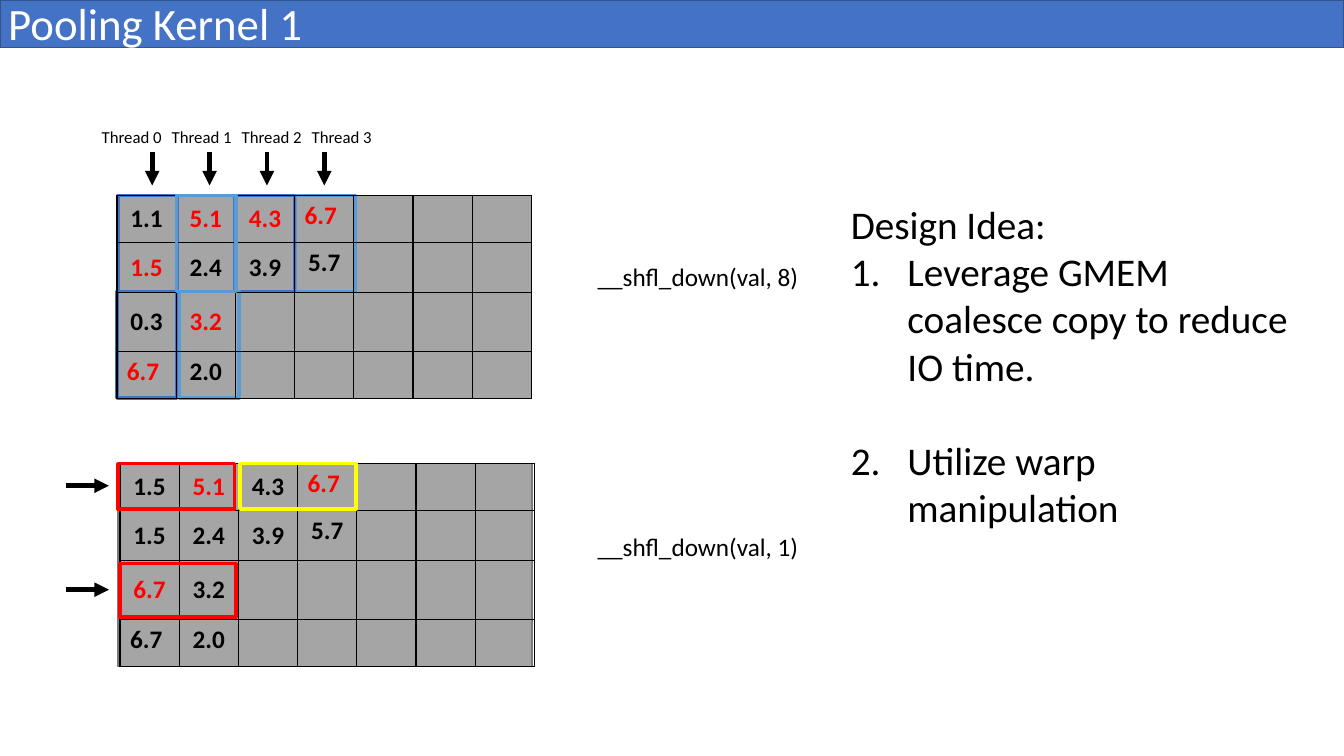
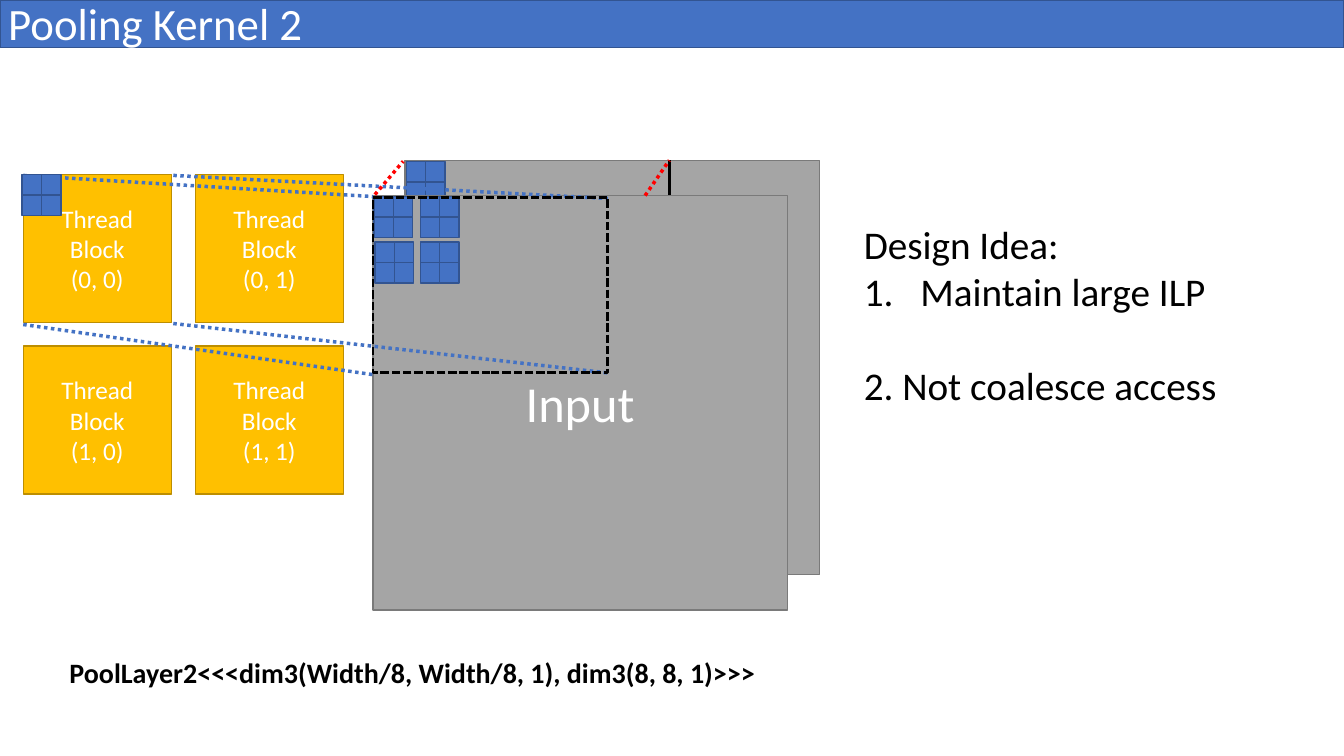
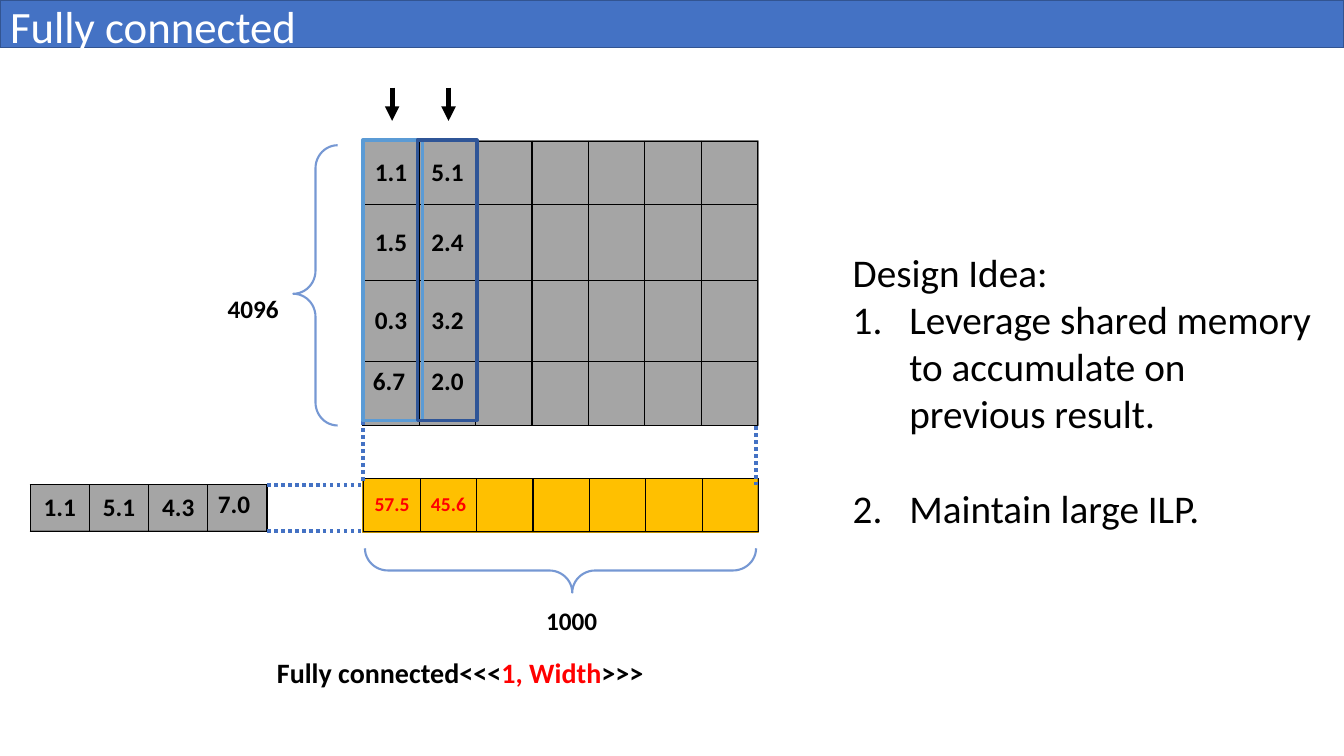
from dataclasses import dataclass
from typing import Any, Optional

import lxml.etree
import pptx
import pptx.dml.color
import pptx.enum.dml
import pptx.enum.shapes
import pptx.enum.text
import pptx.oxml.ns
import pptx.util

Pt = pptx.util.Pt
qn = pptx.oxml.ns.qn
KIND = pptx.enum.shapes.MSO_SHAPE
ALIGN = pptx.enum.text.PP_ALIGN
ANCHOR = pptx.enum.text.MSO_ANCHOR
DOT = pptx.enum.dml.MSO_LINE.ROUND_DOT
DASH = pptx.enum.dml.MSO_LINE.SQUARE_DOT

FONT = "Calibri"
HUES = {
    "black": "000000", "white": "FFFFFF", "red": "FF0000", "yellow": "FFFF00",
    "blue": "4472C4", "edge": "325491", "sky": "5B9BD5", "navy": "2F5597",
    "grey": "A5A5A5", "rim": "7A7A7A", "gold": "FFC000", "brown": "BD8E00",
}
Area = tuple[float, float, float, float]
Cells = frozenset[tuple[int, int]]
NONE: Cells = frozenset()


@dataclass(frozen=True)
class Box:
    area: Area
    line: str
    fill: Optional[str] = None
    width: float = 2.5
    dash: Any = None


@dataclass(frozen=True)
class Link:
    start: tuple[float, float]
    end: tuple[float, float]
    hue: str = "blue"
    width: float = 2.5
    dash: Any = DOT
    arrow: bool = False


@dataclass(frozen=True)
class Run:
    text: str
    hue: str = "black"


@dataclass(frozen=True)
class Label:
    area: Area
    runs: tuple[Run, ...]
    size: float = 18
    bold: bool = False


@dataclass(frozen=True)
class Item:
    text: str
    auto: bool = True
    gap: float = 0


@dataclass(frozen=True)
class Grid:
    """Rows of text; red, top and left hold the cells that differ."""
    left_top: tuple[float, float]
    cols: int
    step: float
    rows: tuple[float, ...]
    text: tuple[tuple[str, ...], ...]
    red: Cells = NONE
    top: Cells = NONE
    left: Cells = NONE
    size: float = 18


def tint(name: str) -> Any:
    return pptx.dml.color.RGBColor.from_string(HUES[name])


def place(shape: Any, area: Area) -> None:
    shape.left, shape.top, shape.width, shape.height = (Pt(n) for n in area)


def write(para: Any, run: Run, size: float, bold: bool = False) -> None:
    part = para.add_run()
    part.text = run.text
    part.font.name, part.font.size, part.font.bold = FONT, Pt(size), bold
    part.font.color.rgb = tint(run.hue)


def stroke(line: Any, hue: str, width: float, dash: Any = None) -> None:
    line.color.rgb = tint(hue)
    line.width = Pt(width)
    if dash is not None:
        line.dash_style = dash


def draw(slide: Any, box: Box, kind: Any = KIND.RECTANGLE) -> Any:
    shape = slide.shapes.add_shape(kind, *(Pt(n) for n in box.area))
    shape.shadow.inherit = False
    if box.fill:
        shape.fill.solid()
        shape.fill.fore_color.rgb = tint(box.fill)
    else:
        shape.fill.background()
    stroke(shape.line, box.line, box.width, box.dash)
    return shape


def panel(slide: Any, area: Area, fill: str = "grey", line: str = "rim",
          texts: tuple[str, ...] = (), size: float = 18) -> None:
    """Draw a filled box with one white centred paragraph per text."""
    frame = draw(slide, Box(area, line, fill, 1)).text_frame
    for i, text in enumerate(texts):
        para = frame.add_paragraph() if i else frame.paragraphs[0]
        para.alignment = ALIGN.CENTER
        write(para, Run(text, "white"), size)


def join(slide: Any, link: Link) -> None:
    line = slide.shapes.add_connector(
        pptx.enum.shapes.MSO_CONNECTOR.STRAIGHT,
        *(Pt(n) for n in link.start + link.end))
    stroke(line.line, link.hue, link.width, link.dash)
    props = line.element.find(qn("p:spPr"))
    if link.arrow:
        lxml.etree.SubElement(props.find(qn("a:ln")), qn("a:tailEnd"), type="triangle")
    lxml.etree.SubElement(props, qn("a:effectLst"))


def arrow(slide: Any, x: float, y: float, dx: float, dy: float) -> None:
    join(slide, Link((x, y), (x + dx, y + dy), "black", 3.5, None, True))


def brace(slide: Any, area: Area, turn: float) -> None:
    shape = draw(slide, Box(area, "blue", None, 1.5), KIND.RIGHT_BRACE)
    shape.rotation = turn
    shape.adjustments[0], shape.adjustments[1] = 0.52, 0.47
    hue = shape.element.find(qn("p:spPr")).find(qn("a:ln")).find(".//" + qn("a:srgbClr"))
    lxml.etree.SubElement(hue, qn("a:alpha"), val="72000")


def note(slide: Any, label: Label) -> None:
    frame = slide.shapes.add_textbox(*(Pt(n) for n in label.area)).text_frame
    frame.word_wrap = True
    for run in label.runs:
        write(frame.paragraphs[0], run, label.size, label.bold)


def rule(cell: Any) -> None:
    """Give a cell four thin black borders and no fill."""
    props = cell._tc.get_or_add_tcPr()
    for side in ("a:lnL", "a:lnR", "a:lnT", "a:lnB"):
        edge = lxml.etree.SubElement(props, qn(side), w=str(Pt(1)))
        fill = lxml.etree.SubElement(edge, qn("a:solidFill"))
        lxml.etree.SubElement(fill, qn("a:srgbClr"), val=HUES["black"])
    cell.fill.background()


def table(slide: Any, grid: Grid) -> None:
    x, y = grid.left_top
    body = slide.shapes.add_table(
        len(grid.rows), grid.cols, Pt(x), Pt(y),
        Pt(grid.step * grid.cols), Pt(sum(grid.rows))).table
    body.first_row = body.horz_banding = False
    for col in body.columns:
        col.width = Pt(grid.step)
    for r, high in enumerate(grid.rows):
        body.rows[r].height = Pt(high)
        for c in range(grid.cols):
            cell, spot = body.cell(r, c), (r, c)
            rule(cell)
            if c < len(grid.text[r]):
                cell.vertical_anchor = ANCHOR.TOP if spot in grid.top else ANCHOR.MIDDLE
                para = cell.text_frame.paragraphs[0]
                para.alignment = ALIGN.LEFT if spot in grid.left else ALIGN.CENTER
                hue = "red" if spot in grid.red else "black"
                write(para, Run(grid.text[r][c], hue), grid.size, True)


def setup(holder: Any, area: Area) -> Any:
    """Move a placeholder and return its top-anchored text frame."""
    place(holder, area)
    frame = holder.text_frame
    frame.word_wrap = True
    frame.auto_size = pptx.enum.text.MSO_AUTO_SIZE.NONE
    frame.vertical_anchor = ANCHOR.TOP
    return frame


def start(deck: Any, title: str, spot: tuple[float, float],
          area: Area, items: tuple[Item, ...]) -> Any:
    """Add a slide with its title and its list of design ideas."""
    slide = deck.slides.add_slide(deck.slide_layouts[1])
    para = setup(slide.shapes.title, spot + (289.4, 46)).paragraphs[0]
    para.alignment = ALIGN.LEFT
    write(para, Run(title, "white"), 32)
    frame = setup(slide.placeholders[1], area)
    for i, item in enumerate((Item("Design Idea:", False),) + items):
        para = frame.add_paragraph() if i else frame.paragraphs[0]
        para.alignment = ALIGN.LEFT
        para.space_before = Pt(item.gap)
        write(para, Run(item.text), 28)
        props = para._p.get_or_add_pPr()
        dent = Pt(40.5) if item.auto else 0
        props.set("marL", str(dent))
        props.set("indent", str(-dent))
        if item.auto:
            lxml.etree.SubElement(props, qn("a:buFont"), typeface="+mj-lt")
            lxml.etree.SubElement(props, qn("a:buAutoNum"), type="arabicPeriod")
        else:
            lxml.etree.SubElement(props, qn("a:buNone"))
    return slide


def share(slide: Any) -> None:
    """Put the title band on the layout, below all that a slide holds."""
    band = draw(slide, Box((0, 0, 960, 33.8), "edge", "blue", 1)).element
    band.xpath("./p:nvSpPr/p:cNvPr")[0].set("id", "99")
    slide.slide_layout.shapes.element.insert(2, band)


GAP = 34
ROWS = (33.3, 36, 42.2, 33.3)
STEP = 42.3
TOP = frozenset({(0, 3), (1, 3), (3, 0), (3, 1)})
LEFT = frozenset({(0, 3), (3, 0)})


def shuffle(deck: Any) -> None:
    slide = start(deck, "Pooling Kernel 1", (-1.4, -6.5), (600.5, 139.7, 329.8, 244.8), (
        Item("Leverage GMEM coalesce copy to reduce IO time."),
        Item("Utilize warp manipulation", gap=GAP)))
    share(slide)
    panel(slide, (84.2, 331.2, 296, 144.8))
    panel(slide, (83.5, 139.7, 296, 144.8))
    high, low = (139.7, 42.5, 68.4), (208.1, 42.5, 76.3)
    for x, (y, wide, tall), hue in (
            (84.2, high, "blue"), (211, high, "sky"), (83.5, low, "blue"),
            (167.8, high, "blue"), (128.2, low, "sky")):
        draw(slide, Box((x, y, wide, tall), hue))
    table(slide, Grid(
        (83.5, 139.7), 7, STEP, ROWS,
        (("1.1", "5.1", "4.3", "6.7"), ("1.5", "2.4", "3.9", "5.7"),
         ("0.3", "3.2"), ("6.7", "2.0")),
        frozenset({(0, 1), (0, 2), (0, 3), (1, 0), (2, 1), (3, 0)}), TOP, LEFT))
    draw(slide, Box((126, 139.7, 42.5, 68.4), "sky"))
    table(slide, Grid(
        (85.7, 331.2), 7, STEP, ROWS,
        (("1.5", "5.1", "4.3", "6.7"), ("1.5", "2.4", "3.9", "5.7"),
         ("6.7", "3.2"), ("6.7", "2.0")),
        frozenset({(0, 1), (0, 3), (2, 0)}), TOP, LEFT))
    for area, hue in (((84.2, 331.2, 83.5, 32.4), "red"),
                      ((85.7, 402.5, 82.8, 38.2), "red"),
                      ((171.4, 331.2, 82.8, 32.4), "yellow")):
        draw(slide, Box(area, hue))
    for i in range(4):
        arrow(slide, 108.7 + 41 * i, 108.7, 0, 23.8)
        note(slide, Label((65.5 + 50 * i, 86.8, 61.2, 21.6), (Run(f"Thread {i}"),), 12))
    for y in (347, 421.2):
        arrow(slide, 46.8, y, 31, 0)
    for y, shift in ((182.9, 8), (375.8, 1)):
        note(slide, Label((419.8, y, 188, 28.8), (Run(f"__shfl_down(val, {shift})"),)))


def tiles(slide: Any, x: float, y: float) -> None:
    """Draw a two by two patch of small blue tiles."""
    for r in range(2):
        for c in range(2):
            panel(slide, (x + 13.9 * c, y + 14.7 * r, 13.9, 14.7), "blue", "edge")


def blocks(deck: Any) -> None:
    slide = start(deck, "Pooling Kernel 2", (-1.4, -6.5), (609.8, 153.4, 350, 143.3), (
        Item("Maintain large ILP"),
        Item("2. Not coalesce access", False, GAP)))
    panel(slide, (289.4, 114.5, 296, 296))
    tiles(slide, 290.2, 115.2)
    join(slide, Link((478.1, 114.5), (478.1, 410.4), "black", dash=None))
    for r in range(2):
        for c in range(2):
            panel(slide, (16.6 + 122.9 * c, 124.6 + 122.6 * r, 105.8, 105.8),
                  "gold", "brown", ("Thread Block", f"({r}, {c})"))
    panel(slide, (266.4, 139.7, 296, 296), texts=("Input",), size=36)
    for link in (Link((16.6, 125.3), (266.4, 140.4)),
                 Link((16.6, 231.8), (267.8, 267.8)),
                 Link((123.8, 231.1), (434.2, 266.4)),
                 Link((123.8, 125.3), (434.2, 141.8)),
                 Link((267.8, 139), (288, 115.2), "red"),
                 Link((460.8, 139.7), (478.1, 114.5), "red")):
        join(slide, link)
    note(slide, Label((42.5, 464.4, 508.3, 31.7), (
        Run("PoolLayer2<<<dim3(Width/8, Width/8, 1), dim3(8, 8, 1)>>>"),), 20, True))
    for x, y in ((15.8, 124.6), (267.1, 140.4), (300.2, 140.4),
                 (267.8, 172.8), (300.2, 172.8)):
        tiles(slide, x, y)
    draw(slide, Box((266.4, 141.1, 167.8, 125.3), "black", None, 2, DASH))


def dense(deck: Any) -> None:
    slide = start(deck, "Fully connected", (0, -4.3), (601.9, 173.5, 352, 211), (
        Item("Leverage shared memory to accumulate on previous result."),
        Item("Maintain large ILP.", gap=GAP)))
    panel(slide, (21.6, 346.3, 169.2, 33.1))
    panel(slide, (260.6, 100.8, 280.8, 203))
    panel(slide, (259.2, 342, 282.2, 38.2), "gold", "brown")
    note(slide, Label((190.8, 464.4, 659.5, 31.7), (
        Run("Fully connected<<<"), Run("1, Width", "red"), Run(">>>")), 20, True))
    table(slide, Grid(
        (259.2, 100.8), 7, 40.3, (45.4, 54, 58.3, 45.4),
        (("1.1", "5.1"), ("1.5", "2.4"), ("0.3", "3.2"), ("6.7", "2.0")),
        top=frozenset({(3, 0), (3, 1)}), left=frozenset({(3, 0)})))
    last = frozenset({(0, 3)})
    table(slide, Grid((21.6, 346.3), 4, STEP, (33.1,),
                      (("1.1", "5.1", "4.3", "7.0"),), top=last, left=last))
    table(slide, Grid((259.9, 342), 7, 40.3, (37.4,), (("57.5", "45.6"),),
                      frozenset({(0, 0), (0, 1)}), size=14))
    for link in (Link((259.2, 301), (259.2, 343.4)),
                 Link((540, 304.6), (540, 346.3)),
                 Link((190.8, 346.3), (260.6, 346.3)),
                 Link((190.8, 379.4), (259.2, 379.4))):
        join(slide, link)
    for x, hue in ((259.2, "sky"), (298.1, "navy")):
        draw(slide, Box((x, 100.1, 42.5, 200.2), hue))
    for x in (280.1, 320.4):
        arrow(slide, x, 62.6, 0, 23.8)
    brace(slide, (209.5, 103.7, 31.7, 200.2), 180)
    brace(slide, (384.5, 267.8, 31.7, 279.4), 90)
    for x, y, text in ((383, 429.1, "1000"), (155.5, 205.9, "4096")):
        note(slide, Label((x, y, 86.4, 28.8), (Run(text),), bold=True))


def main() -> None:
    deck = pptx.Presentation()
    deck.slide_width, deck.slide_height = Pt(960), Pt(540)
    shuffle(deck)
    blocks(deck)
    dense(deck)
    deck.save("out.pptx")


if __name__ == "__main__":
    main()
